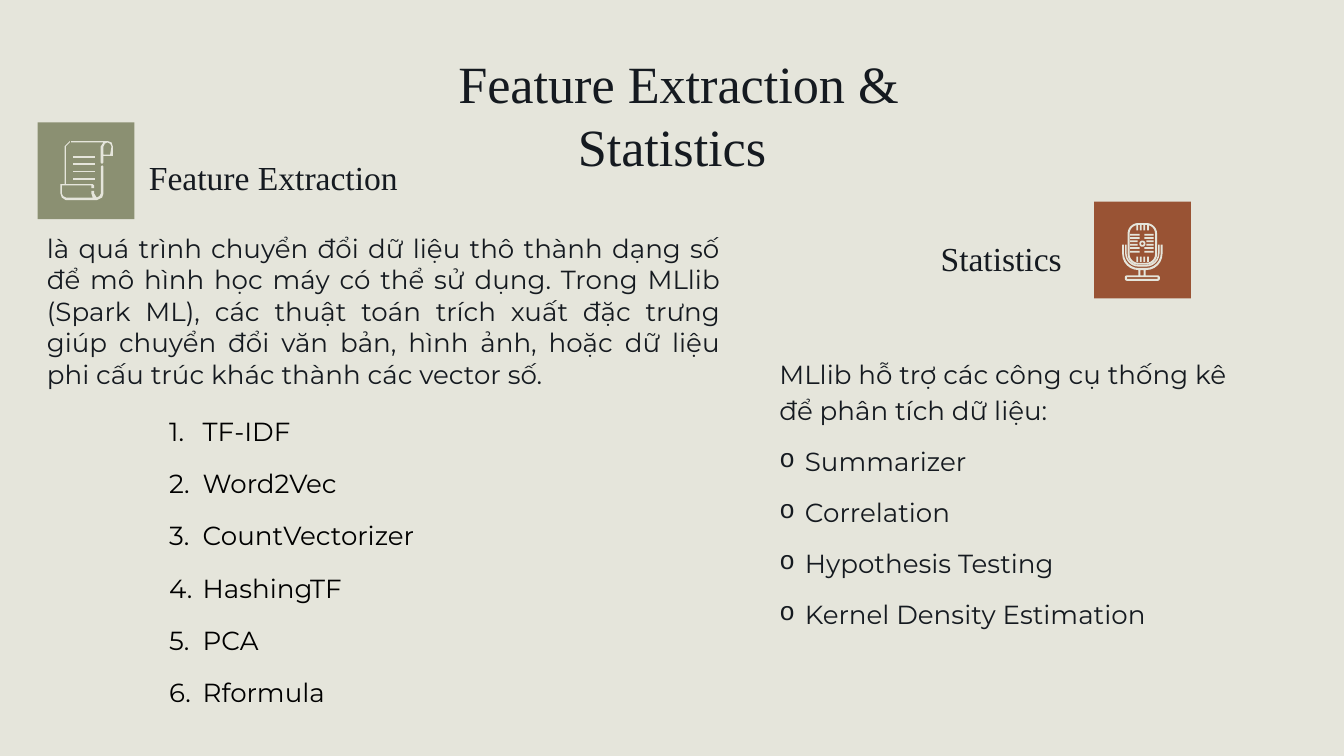
"""Build the slide on feature extraction and statistics."""
from math import cos, radians, sin

from lxml import etree
from pptx import Presentation
from pptx import util as u
from pptx.dml.color import RGBColor
from pptx.enum import shapes, text
from pptx.oxml.ns import qn

CREAM = RGBColor(0xE5, 0xE5, 0xDB)
OLIVE = RGBColor(0x8B, 0x90, 0x72)
RUST = RGBColor(0x99, 0x53, 0x34)
INK = RGBColor(0x15, 0x1A, 0x20)
BLACK = RGBColor(0, 0, 0)
SERIF, SANS = "Times New Roman", "Montserrat"
COLS, ROWS = 100, 56.25
CELL = u.Inches(0.1)
DOT = u.Inches(0.01)
TILE = 7.2
ALIGN, ANCHOR = text.PP_ALIGN, text.MSO_ANCHOR


def grid(*cells):
    return [round(cell * CELL) for cell in cells]


def paint(shape, color):
    shape.shadow.inherit = False
    shape.fill.solid()
    shape.fill.fore_color.rgb = color
    shape.line.fill.background()


def tile(slide, col, row, color):
    box = slide.shapes.add_shape(
        shapes.MSO_SHAPE.RECTANGLE, *grid(col, row, TILE, TILE))
    paint(box, color)


def style(para, font, size, color):
    for run in para.runs:
        run.font.name = font
        run.font.size = u.Pt(size)
        run.font.color.rgb = color


def write(slide, area, lines, font, size, color=INK, align=ALIGN.LEFT,
          anchor=ANCHOR.TOP, pad=(1, 1), space=1.0, after=0):
    frame = slide.shapes.add_textbox(*grid(*area)).text_frame
    frame.word_wrap = True
    frame.vertical_anchor = anchor
    frame.margin_left = frame.margin_right = grid(pad[0])[0]
    frame.margin_top = frame.margin_bottom = grid(pad[1])[0]
    frame.text = "\n".join(lines)
    for para in frame.paragraphs:
        para.alignment = align
        para.line_spacing = space
        para.space_after = u.Pt(after)
        style(para, font, size, color)
    return frame.paragraphs


def mark(para, indent, color, char=None):
    props = para._p.get_or_add_pPr()
    gap = grid(indent)[0]
    props.set("marL", str(gap))
    props.set("indent", str(-gap))
    hue = etree.SubElement(props, qn("a:buClr"))
    etree.SubElement(hue, qn("a:srgbClr"), val=str(color))
    if char:
        etree.SubElement(props, qn("a:buFont"), typeface="Courier New")
        etree.SubElement(props, qn("a:buChar"), char=char)
    else:
        etree.SubElement(props, qn("a:buFont"), typeface="+mj-lt")
        etree.SubElement(props, qn("a:buAutoNum"), type="arabicPeriod")


def draw(slide, col, row, *loops):
    rings = [[(round(x * DOT), round(y * DOT)) for x, y in loop]
             for loop in loops]
    pen = slide.shapes.build_freeform(*rings[0][0])
    pen.add_line_segments(rings[0][1:])
    for ring in rings[1:]:
        pen.move_to(*ring[0])
        pen.add_line_segments(ring[1:])
    paint(pen.convert_to_shape(*grid(col, row)), CREAM)


def arc(x, y, size, start):
    turns = [radians(start + 15 * step) for step in range(7)]
    return [(x + size * cos(turn), y + size * sin(turn)) for turn in turns]


def bar(left, top, right, low):
    return [(left, top), (right, top), (right, low), (left, low)]


def bowl(left, top, right, low, size):
    return [(right, top), *arc(right - size, low - size, size, 0),
            *arc(left + size, low - size, size, 90), (left, top)]


def pill(left, top, right, low, size):
    return [*bowl(left, top + size, right, low, size),
            *arc(left + size, top + size, size, 180),
            *arc(right - size, top + size, size, 270)]


def scroll(slide, col, row):
    sheet = [(24, 14), (20, 18), (20, 46), (17, 46), (17, 53), (18, 56),
             (21, 58), (44, 58), (48, 56), (49, 53), (49, 33), (48, 32),
             (47, 33), (47, 53), (46, 55), (44, 56), (42, 53), (42, 51),
             (40, 51), (40, 53), (41, 56), (21, 56), (19, 55), (18, 53),
             (18, 47), (40, 47), (40, 49), (42, 49), (42, 47), (41, 46),
             (21, 46), (21, 18), (24, 15)]
    flap = [(25, 14), (52, 14), (55, 15), (56, 18), (56, 25), (49, 25),
            (49, 30), (48, 31), (47, 30), (47, 18), (49, 15), (25, 15)]
    fold = [(52, 15), (54, 16), (55, 18), (54, 24), (49, 24), (49, 18),
            (50, 16)]
    draw(slide, col, row, sheet)
    draw(slide, col, row, flap, fold)
    for step in range(4):
        top = 25 + 5.5 * step
        draw(slide, col, row, bar(26, top, 43, top + 1.3))


def mic(slide, col, row):
    ribs = [bar(x, y, x + 1.3, y + 4)
            for x in (31.5, 34.2, 36.8, 39.5) for y in (17.5, 41)]
    slots = [bar(x, y, x + 7, y + 1.3)
             for x in (27, 37.5) for y in (24, 26.5, 34, 36.8)]
    slots += [bar(x, y, x + 5.5, y + 1.3)
              for x in (27, 39) for y in (29, 31.5)]
    cups = [bowl(21, 32, 51, 51, 12) + bowl(22.3, 32, 49.7, 49.5, 11)[::-1],
            bowl(23.2, 32, 48.8, 48.5, 10) + bowl(24.3, 32, 47.7, 47.4, 9)[::-1]]
    stem = [bar(33, 51, 34.5, 55), bar(37, 51, 38.5, 55)]
    base = [pill(23, 55, 49, 59, 1.5), pill(24.5, 56.3, 47.5, 57.6, 0.5)]
    draw(slide, col, row, pill(33.7, 29, 38.3, 33.6, 2.3),
         pill(35, 30.3, 37, 32.3, 1))
    draw(slide, col, row, pill(25, 16, 47, 47, 8),
         pill(26.5, 17.4, 45.5, 45.6, 6.5), *ribs, *slots,
         *cups, *stem, *base)


def main():
    deck = Presentation()
    deck.slide_width, deck.slide_height = grid(COLS, ROWS)
    slide = deck.slides.add_slide(deck.slide_layouts[6])
    slide.background.fill.solid()
    slide.background.fill.fore_color.rgb = CREAM

    tile(slide, 2.8, 9.1, OLIVE)
    tile(slide, 81.4, 15, RUST)
    write(slide, (24.9, 2.8, 50.2, 6.3), [" Feature Extraction & Statistics"],
          SERIF, 28, align=ALIGN.CENTER)

    stats = write(slide, (57, 25.3, 36.2, 21.8), [
        "MLlib hỗ trợ các công cụ thống kê để phân tích dữ liệu:",
        "Summarizer", "Correlation", "Hypothesis Testing",
        "Kernel Density Estimation"], SANS, 14, space=1.15, after=8)
    for para in stats[1:]:
        mark(para, 1.9, INK, "o")

    write(slide, (2.5, 16.3, 52.1, 11), [
        "là quá trình chuyển đổi dữ liệu thô thành dạng số để mô hình học "
        "máy có thể sử dụng. Trong MLlib (Spark ML), các thuật toán trích "
        "xuất đặc trưng giúp chuyển đổi văn bản, hình ảnh, hoặc dữ liệu phi "
        "cấu trúc khác thành các vector số."], SANS, 14, align=ALIGN.JUSTIFY)
    for name, area in (("Feature Extraction", (10, 9.6, 20.7, 6.1)),
                       ("Statistics", (68.2, 17, 12.6, 4.7))):
        write(slide, area, [name], SERIF, 18, align=ALIGN.CENTER,
              anchor=ANCHOR.BOTTOM)

    scroll(slide, 2.8, 9.1)
    mic(slide, 81.4, 15)

    tools = write(slide, (11.6, 30.8, 29.8, 22.6), [
        "TF-IDF", "Word2Vec", "CountVectorizer", "HashingTF", "PCA",
        "Rformula"], SANS, 14, BLACK, pad=(1, 0.5), space=u.Pt(14), after=14)
    for para in tools:
        mark(para, 2.5, BLACK)

    deck.save("out.pptx")


if __name__ == "__main__":
    main()
